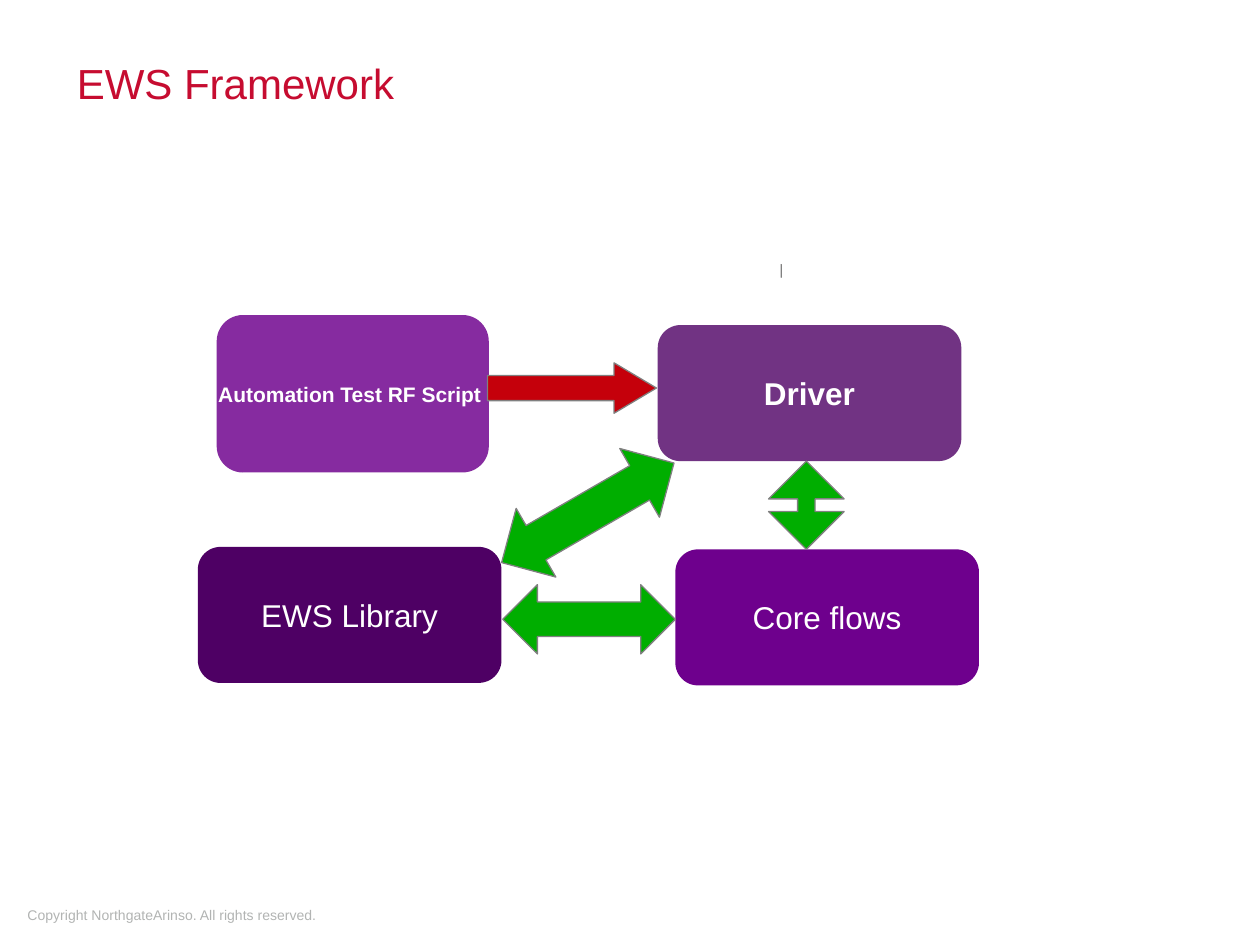
from pptx import Presentation
from pptx.dml.color import RGBColor
from pptx.enum.shapes import MSO_SHAPE
from pptx.enum.text import MSO_ANCHOR, PP_ALIGN
from pptx.oxml.ns import qn
from pptx.util import Inches, Pt
from lxml.etree import SubElement

RED = RGBColor(0xC6, 0x0C, 0x30)
ARROW_RED = RGBColor(0xC5, 0x00, 0x0B)
GREEN = RGBColor(0x00, 0xAE, 0x00)
PURPLE = RGBColor(0x6E, 0x00, 0x8D)
DARK_PURPLE = RGBColor(0x4E, 0x00, 0x64)
GREY = RGBColor(0x80, 0x80, 0x80)
LIGHT_GREY = RGBColor(0xB2, 0xB4, 0xB3)
WHITE = RGBColor(0xFF, 0xFF, 0xFF)


def write(shape, text, color, size, bold=False, align=PP_ALIGN.LEFT,
          anchor=MSO_ANCHOR.BOTTOM, wrap=True):
    tf = shape.text_frame
    tf.word_wrap, tf.vertical_anchor = wrap, anchor
    p = tf.paragraphs[0]
    p.alignment = align
    r = p.add_run()
    r.text = text
    for name, value in {"name": "Arial", "size": Pt(size), "bold": bold}.items():
        setattr(r.font, name, value)
    r.font.color.rgb = color


def add_filled(kind, box, color):
    sp = s.shapes.add_shape(kind, *map(Inches, box))
    sp.shadow.inherit = False
    sp.fill.solid()
    sp.fill.fore_color.rgb = color
    return sp


prs = Presentation()
prs.slide_width, prs.slide_height = Inches(10), Inches(7.5)
s = prs.slides.add_slide(prs.slide_layouts[5])

# Copyright line
footer = s.shapes.add_textbox(Inches(0.12), Inches(7.06), Inches(7.56), Inches(0.32))
write(footer, "Copyright NorthgateArinso. All rights reserved.", LIGHT_GREY, 8)

# Title
title = s.shapes.title
title.left, title.top = Inches(0.51), Inches(0.28)
title.width, title.height = Inches(6.61), Inches(0.63)
write(title, "EWS Framework", RED, 24)

# Framework components: text, box, colour, opacity %, text size, bold
components = [
    ("Automation Test RF Script ", (1.72, 2.5, 2.16, 1.25), PURPLE, 83, 12, True),
    ("Driver", (5.22, 2.58, 2.41, 1.08), DARK_PURPLE, 80, 18, True),
    ("EWS Library", (1.57, 4.34, 2.41, 1.08), DARK_PURPLE, 100, 18, False),
    ("Core flows", (5.36, 4.36, 2.41, 1.08), PURPLE, 100, 18, False),
]
for text, box, color, opacity, size, bold in components:
    sp = add_filled(MSO_SHAPE.ROUNDED_RECTANGLE, box, color)
    sp.line.fill.background()
    if opacity < 100:
        clr = sp.fill._xPr.find(qn("a:solidFill"))[0]
        SubElement(clr, qn("a:alpha"), val=str(opacity * 1000))
    tf = sp.text_frame
    for side in ("left", "top", "right", "bottom"):
        setattr(tf, f"margin_{side}", Inches(0.05))
    write(sp, text, WHITE, size, bold, PP_ALIGN.CENTER, MSO_ANCHOR.MIDDLE, wrap=False)

# Arrows between components: kind, box, colour, head length, rotation
UP_DOWN, RIGHT = MSO_SHAPE.UP_DOWN_ARROW, MSO_SHAPE.RIGHT_ARROW
arrows = [
    (UP_DOWN, (6.2, 2.1, 0, 0.1), ARROW_RED, 0, 0),
    (UP_DOWN, (6.1, 3.66, 0.6, 0.7), GREEN, 0.23, 0),
    (UP_DOWN, (4.4, 4.23, 0.55, 1.37), GREEN, 0.5, 90),
    (UP_DOWN, (4.35, 3.28, 0.63, 1.58), GREEN, 0.5, 60),
    (RIGHT, (3.87, 2.88, 1.34, 0.4), ARROW_RED, 0.84, 0),
]
for kind, box, color, head, rotation in arrows:
    sp = add_filled(kind, box, color)
    sp.adjustments[0], sp.adjustments[1] = 0.5, head
    sp.rotation = rotation
    sp.line.color.rgb = GREY
    sp.line.width = Pt(0.75)

prs.save("out.pptx")
